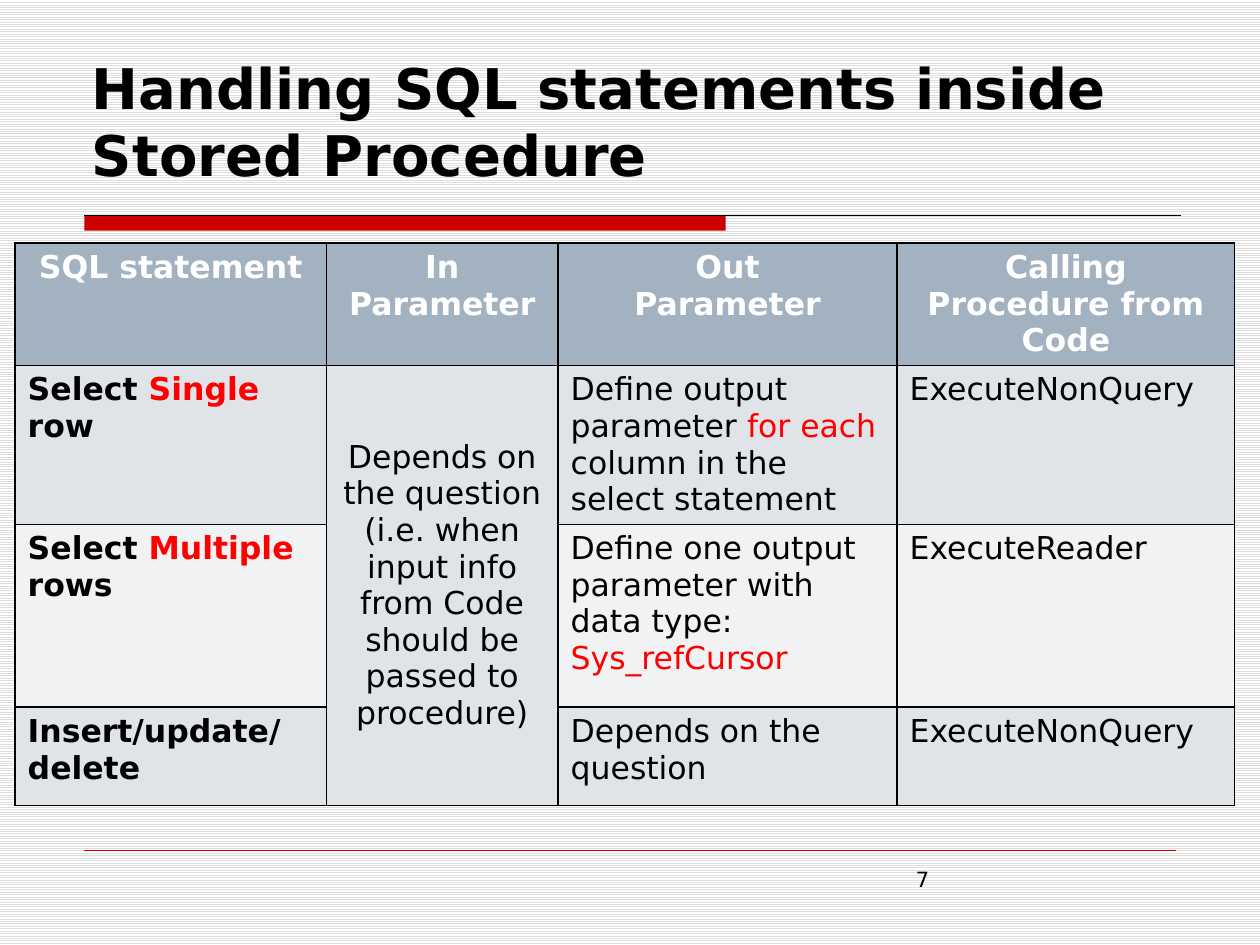
from lxml import etree
from pptx import Presentation
from pptx.dml.color import RGBColor
from pptx.enum.dml import MSO_PATTERN
from pptx.enum.shapes import MSO_CONNECTOR, MSO_SHAPE
from pptx.enum.text import MSO_ANCHOR, MSO_AUTO_SIZE, PP_ALIGN
from pptx.oxml import parse_xml
from pptx.oxml.ns import qn
from pptx.util import Inches, Pt

LEFT, CENTER = PP_ALIGN.LEFT, PP_ALIGN.CENTER
TOP, MIDDLE, BOTTOM = MSO_ANCHOR.TOP, MSO_ANCHOR.MIDDLE, MSO_ANCHOR.BOTTOM
FONT = "DejaVu Sans"
BLACK, WHITE, RED, ACCENT = "000000", "FFFFFF", "FF0000", "CC0000"
HEADER_FILL, BAND_FILLS = "A3B2C1", ("E0E4E9", "F0F2F4")
COLS = (2.47, 1.84, 2.69, 2.68)
ROWS = (0.97, 1.26, 1.45, 0.78)
HEADERS = (["SQL statement"], ["In Parameter"], ["Out", "Parameter"],
           ["Calling Procedure from Code"])
IN_PARAMETER = ["Depends on the question",
                "(i.e. when input info from Code should be passed to procedure)"]
BODY = (
    (["Select ", "Single ", "row"],
     ["Define output parameter ", "for each ", "column in the select statement"],
     "ExecuteNonQuery"),
    (["Select ", "Multiple", " rows"],
     ["Define one output parameter with data type: ", "Sys_refCursor"],
     "ExecuteReader"),
    (["Insert/update/delete"], ["Depends on the question"], "ExecuteNonQuery"),
)


def rgb(value):
    """Turn a hex string into a colour."""
    return RGBColor.from_string(value)


def format_paragraph(p, size, color=BLACK, bold=False, align=LEFT):
    """Set the font and alignment of a paragraph."""
    p.alignment = align
    p.font.name, p.font.size, p.font.bold = FONT, Pt(size), bold
    p.font.color.rgb = rgb(color)


def add_rule(slide, x1, x2, y, color, width):
    """Draw a horizontal line."""
    line = slide.shapes.add_connector(
        MSO_CONNECTOR.STRAIGHT, Inches(x1), Inches(y), Inches(x2), Inches(y))
    line.line.color.rgb = rgb(color)
    line.line.width = Pt(width)
    etree.SubElement(line._element.spPr, qn("a:effectLst"))


def add_bar(slide, x, y, w, h):
    """Draw the solid accent bar under the title."""
    sp = slide.shapes.add_shape(
        MSO_SHAPE.RECTANGLE, Inches(x), Inches(y), Inches(w), Inches(h))
    sp.shadow.inherit = False
    sp.fill.solid()
    sp.fill.fore_color.rgb = rgb(ACCENT)
    sp.line.fill.background()


def set_title(slide, text):
    """Place and format the title."""
    title = slide.shapes.title
    title.left, title.top = Inches(0.63), Inches(0.21)
    title.width, title.height = Inches(8.75), Inches(1.33)
    tf = title.text_frame
    tf.text, tf.word_wrap = text, True
    tf.auto_size, tf.vertical_anchor = MSO_AUTO_SIZE.NONE, BOTTOM
    format_paragraph(tf.paragraphs[0], 32, bold=True)


def add_page_number(slide, text):
    """Add the page number."""
    box = slide.shapes.add_textbox(
        Inches(7.17), Inches(6.83), Inches(2.17), Inches(0.52))
    tf = box.text_frame
    tf.text, tf.word_wrap = text, True
    format_paragraph(tf.paragraphs[0], 12)


def style_cell(cell, fill):
    """Fill a cell and give it thin black borders."""
    cell.fill.solid()
    cell.fill.fore_color.rgb = rgb(fill)
    tc_pr = cell._tc.get_or_add_tcPr()
    for i, side in enumerate("LRTB"):
        tc_pr.insert(i, parse_xml(
            f'<a:ln{side} xmlns:a="http://schemas.openxmlformats.org/drawingml/2006/main"'
            f' w="12700"><a:solidFill><a:srgbClr val="{BLACK}"/></a:solidFill></a:ln{side}>'))


def write_lines(cell, lines, color, bold, anchor):
    """Write centred paragraphs into a cell."""
    cell.vertical_anchor = anchor
    tf = cell.text_frame
    tf.text = "\n".join(lines)
    for p in tf.paragraphs:
        format_paragraph(p, 18, color, bold, CENTER)


def write_runs(cell, runs, bold=False):
    """Write one paragraph whose second run is highlighted."""
    p = cell.text_frame.paragraphs[0]
    format_paragraph(p, 18, bold=bold)
    for i, text in enumerate(runs):
        r = p.add_run()
        r.text = text
        r.font.color.rgb = rgb(RED if i == 1 else BLACK)


def add_statement_table(slide):
    """Build the table of statements, parameters and calls."""
    table = slide.shapes.add_table(
        len(ROWS), len(COLS), Inches(0.12), Inches(1.93),
        Inches(sum(COLS)), Inches(sum(ROWS))).table
    for column, width in zip(table.columns, COLS):
        column.width = Inches(width)
    for i, (row, height) in enumerate(zip(table.rows, ROWS)):
        row.height = Inches(height)
        for cell in row.cells:
            style_cell(cell, BAND_FILLS[(i - 1) % 2] if i else HEADER_FILL)
    for j, lines in enumerate(HEADERS):
        write_lines(table.cell(0, j), lines, WHITE, True, TOP)
    table.cell(1, 1).merge(table.cell(len(ROWS) - 1, 1))
    write_lines(table.cell(1, 1), IN_PARAMETER, BLACK, False, MIDDLE)
    for i, (statement, output, call) in enumerate(BODY, 1):
        write_runs(table.cell(i, 0), statement, bold=True)
        write_runs(table.cell(i, 2), output)
        write_runs(table.cell(i, 3), [call])


def main():
    """Build and save the slide."""
    prs = Presentation()
    prs.slide_width, prs.slide_height = Inches(10), Inches(7.5)
    slide = prs.slides.add_slide(prs.slide_layouts[5])
    fill = slide.background.fill
    fill.patterned()
    fill.pattern = MSO_PATTERN.LIGHT_HORIZONTAL
    fill.fore_color.rgb, fill.back_color.rgb = rgb("DDDDDD"), rgb(WHITE)
    add_bar(slide, 0.67, 1.71, 5.09, 0.12)
    add_rule(slide, 0.67, 9.37, 1.71, BLACK, 0.75)
    add_rule(slide, 0.67, 9.33, 6.75, ACCENT, 0.25)
    set_title(slide, "Handling SQL statements inside Stored Procedure")
    add_statement_table(slide)
    add_page_number(slide, "7")
    prs.save("out.pptx")


if __name__ == "__main__":
    main()
